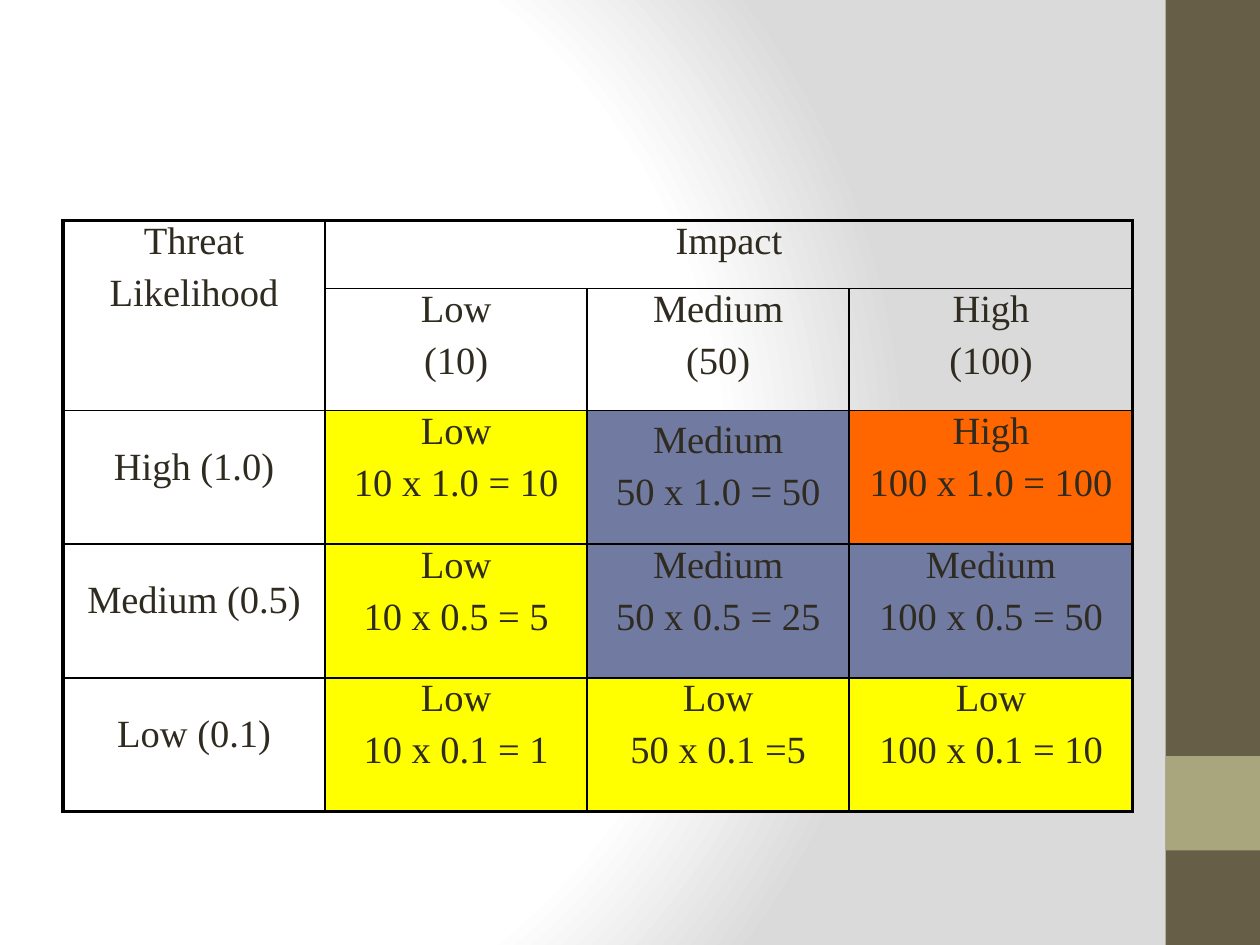
from pptx import Presentation
from pptx.dml.color import RGBColor
from pptx.enum.shapes import MSO_SHAPE
from pptx.enum.text import PP_ALIGN
from pptx.oxml import parse_xml
from pptx.oxml.ns import nsdecls
from pptx.util import Inches, Pt

W, H = 10, 7.5
YELLOW, BLUE, ORANGE = "FFFF00", "717BA2", "FF6600"
LEVEL_FILL = {"Low": YELLOW, "Medium": BLUE, "High": ORANGE}

COL_WIDTHS = [2.08, 2.08, 2.08, 2.25]
ROW_HEIGHTS = [0.54, 0.97, 1.06, 1.06, 1.06]
HEADINGS = [
    ["Threat\nLikelihood", "Impact", "", ""],
    ["", "Low\n(10)", "Medium\n(50)", "High\n(100)"],
]
RATINGS = [
    ["High (1.0)", "Low\n10 x 1.0 = 10", "Medium\n50 x 1.0 = 50", "High\n100 x 1.0 = 100"],
    ["Medium (0.5)", "Low\n10 x 0.5 = 5", "Medium\n50 x 0.5 = 25", "Medium\n100 x 0.5 = 50"],
    ["Low (0.1)", "Low\n10 x 0.1 = 1", "Low\n50 x 0.1 =5", "Low\n100 x 0.1 = 10"],
]


def color(value):
    return RGBColor.from_string(value)


def add_background(s):
    """Circular gradient from white to grey."""
    stops = "".join(
        f'<a:gs pos="{pos * 1000}"><a:srgbClr val="{value}"/></a:gs>'
        for pos, value in [(0, "FFFFFF"), (75, "FFFFFF"), (100, "DADADA")])
    s.element.cSld.insert(0, parse_xml(
        f'<p:bg {nsdecls("p", "a")}><p:bgPr><a:gradFill rotWithShape="1">'
        f'<a:gsLst>{stops}</a:gsLst><a:path path="circle">'
        '<a:fillToRect l="20000" t="50000" r="100000" b="50000"/></a:path>'
        '</a:gradFill><a:effectLst/></p:bgPr></p:bg>'))


def add_sidebar(s, x, y, w, h):
    """Dark band with a square accent four fifths of the way down."""
    for top, height, fill in [(y, h, "675E47"), (y + h * 0.8, w, "A9A57C")]:
        sp = s.shapes.add_shape(MSO_SHAPE.RECTANGLE, Inches(x), Inches(top),
                                Inches(w), Inches(height))
        sp.shadow.inherit = False
        sp.fill.solid()
        sp.fill.fore_color.rgb = color(fill)
        sp.line.fill.background()


def set_borders(cell, outer):
    """Thick lines on the outer sides, thin lines elsewhere."""
    tc_pr = cell._tc.get_or_add_tcPr()
    for side in "LRTB":
        width = Pt(2.25 if side in outer else 1)
        tc_pr.append(parse_xml(
            f'<a:ln{side} {nsdecls("a")} w="{width}"><a:solidFill>'
            f'<a:srgbClr val="000000"/></a:solidFill></a:ln{side}>'))


def fill_cell(cell, text, fill=None, top=0):
    cell.margin_left = cell.margin_right = cell.margin_bottom = 0
    cell.margin_top = Inches(top)
    if fill:
        cell.fill.solid()
        cell.fill.fore_color.rgb = color(fill)
    else:
        cell.fill.background()
    tf = cell.text_frame
    tf.text = text
    for i, p in enumerate(tf.paragraphs):
        p.alignment = PP_ALIGN.CENTER
        p.space_before = Pt(5.2 if i else 0)
        p.font.name = "Times New Roman"
        p.font.size = Pt(22)
        p.font.color.rgb = color("2F2B20")


def add_risk_matrix(s, x, y, w, h):
    rows = HEADINGS + RATINGS
    last_row, last_col = len(rows) - 1, len(COL_WIDTHS) - 1
    table = s.shapes.add_table(len(rows), len(COL_WIDTHS), Inches(x), Inches(y),
                               Inches(w), Inches(h)).table
    table.first_row = table.horz_banding = False
    for column, width in zip(table.columns, COL_WIDTHS):
        column.width = Inches(width)
    for row, height in zip(table.rows, ROW_HEIGHTS):
        row.height = Inches(height)
    table.cell(0, 0).merge(table.cell(1, 0))
    table.cell(0, 1).merge(table.cell(0, last_col))

    for r, texts in enumerate(rows):
        for c, text in enumerate(texts):
            cell = table.cell(r, c)
            right = c + (cell.span_width if cell.is_merge_origin else 1) - 1
            outer = [side for side, at_edge in [
                ("L", c == 0), ("R", right == last_col),
                ("T", r == 0), ("B", r == last_row)] if at_edge]
            set_borders(cell, outer)
            rated = r >= len(HEADINGS)
            fill = LEVEL_FILL[text.split("\n")[0]] if rated and c else None
            # Likelihood labels sit lower; one rating is nudged down
            top = 0.28 if rated and c == 0 else 0.07 if (r, c) == (2, 2) else 0
            fill_cell(cell, text, fill, top)


def main():
    prs = Presentation()
    prs.slide_width, prs.slide_height = Inches(W), Inches(H)
    s = prs.slides.add_slide(prs.slide_layouts[6])
    add_background(s)
    add_sidebar(s, W * 0.925, 0, W * 0.075, H)
    add_risk_matrix(s, W * 0.05, 1.75, sum(COL_WIDTHS), sum(ROW_HEIGHTS))
    prs.save("out.pptx")


if __name__ == "__main__":
    main()
